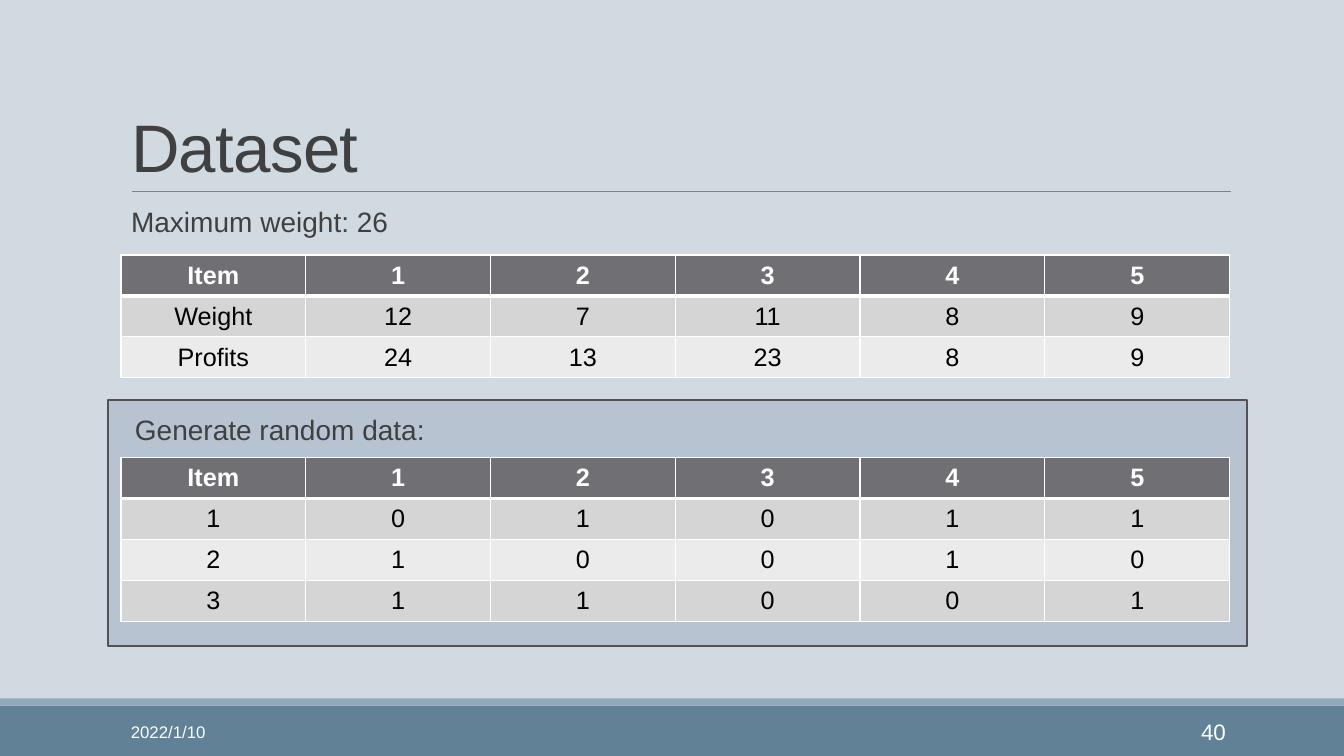
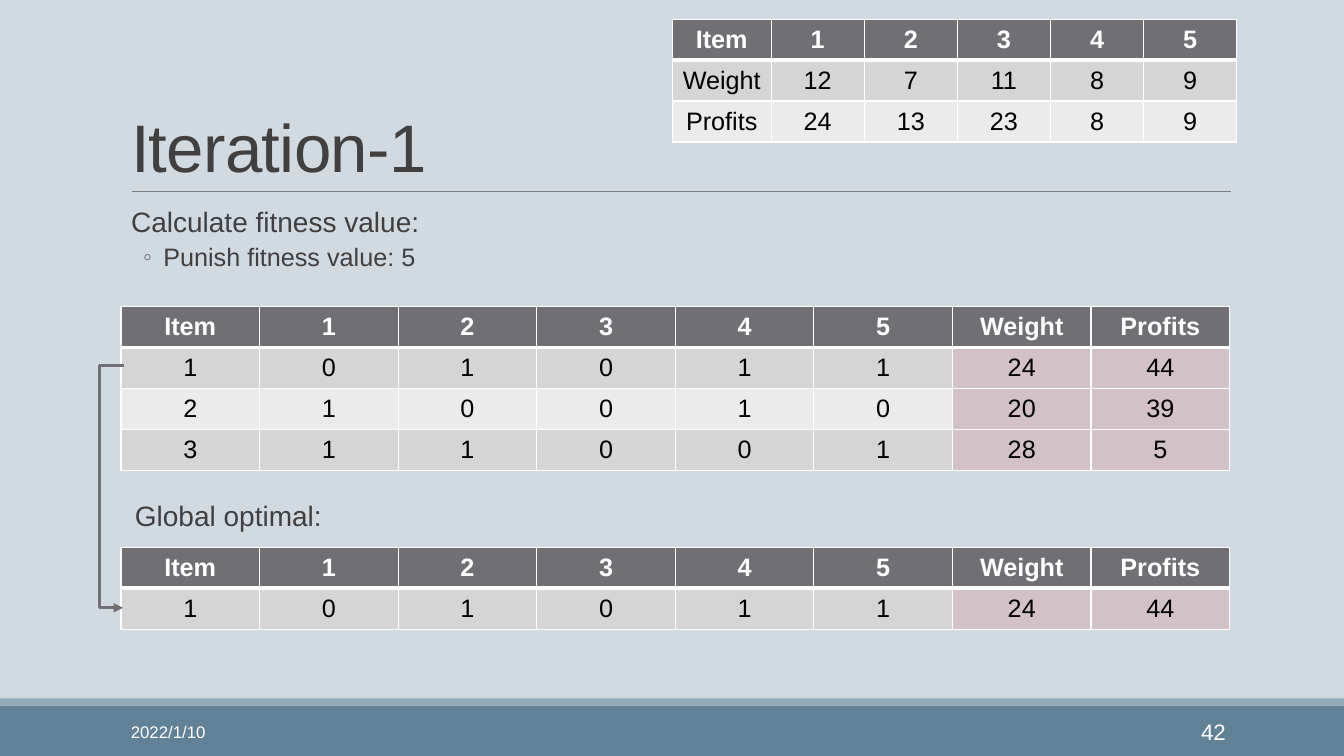
"""Build two lecture slides on a knapsack data set."""
from dataclasses import dataclass
from typing import Any, Optional

from lxml.etree import SubElement as Sub
from pptx import Presentation
from pptx.dml.color import RGBColor as Rgb
from pptx.enum.shapes import MSO_CONNECTOR as Link, MSO_SHAPE as Kind
from pptx.enum.text import MSO_ANCHOR as Anchor, MSO_AUTO_SIZE as Fit, PP_ALIGN as Align
from pptx.oxml.ns import qn
from pptx.util import Inches, Pt


@dataclass(frozen=True)
class Theme:
    """Colours, type sizes and font of the deck."""
    font: str = "Arial"
    back: str = "D1D9E1"
    band: str = "618197"
    strip: str = "92A9B9"
    rule: str = "808080"
    panel: str = "B7C3D0"
    edge: str = "525256"
    text: str = "404040"
    head: str = "6F6F74"
    odd: str = "D5D5D6"
    even: str = "EBEBEB"
    tint: str = "D2C2C7"
    white: str = "FFFFFF"
    black: str = "000000"
    title: int = 48
    body: int = 20
    small: int = 18
    page: int = 16
    date: int = 12


@dataclass(frozen=True)
class Box:
    """Place and size in grid units."""
    col: float
    row: float
    cols: float
    rows: float


@dataclass(frozen=True)
class Level:
    """Bullet and spacing of one list level."""
    mark: str
    left: float
    hang: float
    size: int
    gap: int
    after: int


@dataclass(frozen=True)
class Grid:
    """A table with its place, column widths and rows."""
    col: float
    row: float
    widths: list[float]
    rows: list[list[str]]
    tinted: int = 99


T = Theme()
UNIT = 0.1
WIDE, HIGH = 133.33, 75
LEFT, SPAN = 12, 110
STEP = 4.06
LEVELS = (Level(" ", 1, 1, T.body, 12, 2), Level("◦", 4.2, 2, T.small, 2, 4))
ITEM = "Item 1 2 3 4 5".split()
STOCK = [ITEM, "Weight 12 7 11 8 9".split(), "Profits 24 13 23 8 9".split()]
DRAWS = ["1 0 1 0 1 1".split(), "2 1 0 0 1 0".split(), "3 1 1 0 0 1".split()]
SCORES = [["24", "44"], ["20", "39"], ["28", "5"]]
SCORED = [ITEM + ["Weight", "Profits"]] + [d + s for d, s in zip(DRAWS, SCORES)]


def u(count: float) -> int:
    """Turn grid units into a length."""
    return Inches(count * UNIT)


def put(target: Any, form: dict[str, Any]) -> None:
    """Set each named attribute on the target."""
    for name, value in form.items():
        setattr(target, name, value)


def move(shape: Any, box: Box) -> None:
    """Place a shape on the grid."""
    put(shape, dict(left=u(box.col), top=u(box.row), width=u(box.cols), height=u(box.rows)))


def write(para: Any, text: str, size: int, tone: str, bold: bool = False) -> Any:
    """Add a formatted run to a paragraph."""
    run = para.add_run()
    run.text = text
    put(run.font, dict(name=T.font, size=Pt(size), bold=bold))
    run.font.color.rgb = Rgb.from_string(tone)
    return run


def rect(slide: Any, box: Box, tone: str, edge: Optional[str] = None) -> None:
    """Draw a filled rectangle with an optional outline."""
    shape = slide.shapes.add_shape(Kind.RECTANGLE, 0, 0, 0, 0)
    move(shape, box)
    shape.shadow.inherit = False
    shape.fill.solid()
    shape.fill.fore_color.rgb = Rgb.from_string(tone)
    if edge:
        shape.line.color.rgb = Rgb.from_string(edge)
        shape.line.width = Pt(1.25)
    else:
        shape.line.fill.background()


def wire(slide: Any, kind: Any, ends: tuple[float, ...], tone: str, width: float) -> Any:
    """Draw a connector without shadow and return its properties."""
    link = slide.shapes.add_connector(kind, *map(u, ends))
    link.line.color.rgb = Rgb.from_string(tone)
    link.line.width = Pt(width)
    props = link.element.spPr
    Sub(props, qn("a:effectLst"))
    return props


def arrow(slide: Any, ends: tuple[float, ...], bend: float) -> None:
    """Draw a bent arrow that runs through the given column."""
    props = wire(slide, Link.ELBOW, ends, T.head, 2.25)
    share = (ends[0] - bend) / (ends[0] - ends[2])
    guide = props.find(".//" + qn("a:avLst"))
    Sub(guide, qn("a:gd"), name="adj1", fmla=f"val {round(share * 100000)}")
    Sub(props.find(qn("a:ln")), qn("a:tailEnd"), type="triangle")


def fill(frame: Any, lines: list[str]) -> None:
    """Write one line per list level into a text frame."""
    put(frame, dict(word_wrap=True, auto_size=Fit.NONE, vertical_anchor=Anchor.TOP,
                    margin_left=0, margin_right=0, margin_top=u(0.5), margin_bottom=u(0.5)))
    for rank, (text, level) in enumerate(zip(lines, LEVELS)):
        para = frame.add_paragraph() if rank else frame.paragraphs[0]
        para.level = rank
        props = para._p.get_or_add_pPr()
        props.set("marL", str(u(level.left)))
        props.set("indent", str(-u(level.hang)))
        Sub(Sub(props, qn("a:buClr")), qn("a:srgbClr"), val=T.head)
        Sub(props, qn("a:buChar"), char=level.mark)
        put(para, dict(alignment=Align.LEFT, line_spacing=0.9, space_after=Pt(level.after),
                       space_before=Pt(level.gap if rank else 0)))
        write(para, text, level.size, T.text)


def note(slide: Any, row: float, text: str) -> None:
    """Add a caption above a table."""
    shape = slide.shapes.add_textbox(0, 0, 0, 0)
    move(shape, Box(LEFT, row, SPAN, 4.5))
    fill(shape.text_frame, [text])


def label(slide: Any, box: Box, text: str, size: int, side: Any) -> None:
    """Add one footer text."""
    shape = slide.shapes.add_textbox(0, 0, 0, 0)
    move(shape, box)
    put(shape.text_frame, dict(word_wrap=True, vertical_anchor=Anchor.MIDDLE))
    para = shape.text_frame.paragraphs[0]
    para.alignment = side
    write(para, text, size, T.white)


def border(cell: Any, rank: int) -> None:
    """Give a cell white borders, thick under the header."""
    props = cell._tc.get_or_add_tcPr()
    thick = {"T": 3 if rank == 1 else 1, "B": 1 if rank else 3}
    for side in "LRTB":
        line = Sub(props, qn(f"a:ln{side}"), w=str(Pt(thick.get(side, 1))))
        Sub(Sub(line, qn("a:solidFill")), qn("a:srgbClr"), val=T.white)


def table(slide: Any, grid: Grid) -> None:
    """Draw a banded table with a dark header."""
    rows, cols = len(grid.rows), len(grid.widths)
    box = Box(grid.col, grid.row, sum(grid.widths), rows * STEP)
    frame = slide.shapes.add_table(rows, cols, 0, 0, u(box.cols), u(box.rows))
    move(frame, box)
    for part, width in zip(frame.table.columns, grid.widths):
        part.width = u(width)
    for rank, texts in enumerate(grid.rows):
        frame.table.rows[rank].height = u(STEP)
        for spot, text in enumerate(texts):
            cell = frame.table.cell(rank, spot)
            band = T.odd if rank % 2 else T.even
            tone = T.head if not rank else T.tint if spot >= grid.tinted else band
            border(cell, rank)
            cell.fill.solid()
            cell.fill.fore_color.rgb = Rgb.from_string(tone)
            cell.vertical_anchor = Anchor.MIDDLE
            para = cell.text_frame.paragraphs[0]
            para.alignment = Align.CENTER
            write(para, text, T.small, T.black if rank else T.white, not rank)


def even(count: int) -> list[float]:
    """Split the text width into equal columns."""
    return [SPAN / count] * count


def start(deck: Any, title: str, lines: list[str], page: str) -> Any:
    """Add a slide with bands, rule, title, list and footer."""
    slide = deck.slides.add_slide(deck.slide_layouts[1])
    rect(slide, Box(0, 70, WIDE, 5), T.band)
    rect(slide, Box(0, 69.3, WIDE, 0.7), T.strip)
    wire(slide, Link.STRAIGHT, (13.1, 19, 122.1, 19), T.rule, 0.5)
    head, body = slide.shapes.title, slide.placeholders[1]
    move(head, Box(LEFT, 3.1, SPAN, 15.9))
    put(head.text_frame, dict(word_wrap=True, auto_size=Fit.NONE, vertical_anchor=Anchor.BOTTOM))
    para = head.text_frame.paragraphs[0]
    put(para, dict(alignment=Align.LEFT, line_spacing=0.85))
    run = write(para, title, T.title, T.text)
    run._r.get_or_add_rPr().set("spc", "-50")
    move(body, Box(LEFT, 20.2, SPAN, 17.3))
    fill(body.text_frame, lines)
    label(slide, Box(LEFT, 70.6, 27, 4), "2022/1/10", T.date, Align.LEFT)
    label(slide, Box(108.3, 70.6, 14.3, 4), page, T.page, Align.RIGHT)
    return slide


def data(deck: Any) -> None:
    """Build the data set slide."""
    slide = start(deck, "Dataset", ["Maximum weight: 26"], "40")
    rect(slide, Box(10.7, 39.7, 113, 24.4), T.panel, T.edge)
    table(slide, Grid(LEFT, 25.3, even(6), STOCK))
    table(slide, Grid(LEFT, 45.4, even(6), [ITEM] + DRAWS))
    note(slide, 40.8, "Generate random data:")


def first(deck: Any) -> None:
    """Build the first iteration slide."""
    lines = ["Calculate fitness value:", "Punish fitness value: 5"]
    slide = start(deck, "Iteration-1", lines, "42")
    table(slide, Grid(LEFT, 30.4, even(8), SCORED, 6))
    table(slide, Grid(66.7, 1.9, [9.8] + [9.24] * 5, STOCK))
    note(slide, 49.3, "Global optimal:")
    table(slide, Grid(LEFT, 54.3, even(8), SCORED[:2], 6))
    arrow(slide, (12.3, 36.3, 12.2, 60.3), 9.8)


def main() -> None:
    """Build and save the deck."""
    deck = Presentation()
    put(deck, dict(slide_width=u(WIDE), slide_height=u(HIGH)))
    back = deck.slide_master.background.fill
    back.solid()
    back.fore_color.rgb = Rgb.from_string(T.back)
    data(deck)
    first(deck)
    deck.save("out.pptx")


if __name__ == "__main__":
    main()
